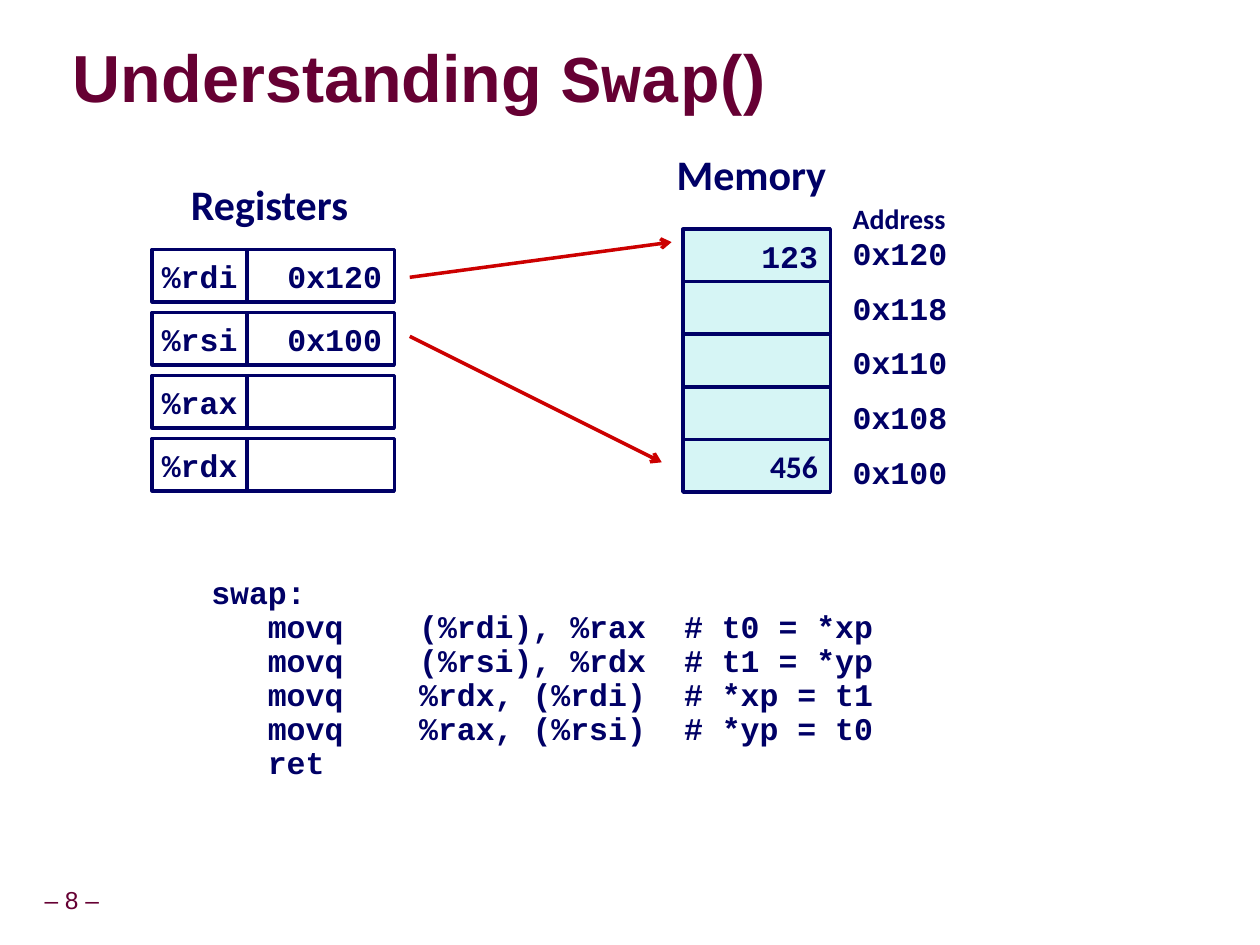
from dataclasses import dataclass

from lxml.etree import SubElement
from pptx import Presentation
from pptx.dml.color import RGBColor as RGB
from pptx.enum.shapes import MSO_CONNECTOR as Link, MSO_SHAPE as Shape
from pptx.enum.text import MSO_ANCHOR as Anchor, MSO_AUTO_SIZE as Fit, PP_ALIGN as Align
from pptx.oxml import parse_xml
from pptx.oxml.ns import nsdecls, qn
from pptx.util import Cm, Pt


@dataclass(frozen=True)
class Theme:
    ink: RGB = RGB(0x00, 0x00, 0x66)
    wine: RGB = RGB(0x66, 0x00, 0x33)
    red: RGB = RGB(0xCC, 0x00, 0x00)
    aqua: RGB = RGB(0xD6, 0xF5, 0xF5)
    white: RGB = RGB(0xFF, 0xFF, 0xFF)
    sans: str = "Arial"
    body: str = "Calibri"
    mono: str = "Courier New"
    title: int = 38
    head: int = 24
    code: int = 18
    label: int = 16
    foot: int = 14
    line: int = 2


T = Theme()
ROW = 1.06
SHADOW = (
    f'<a:effectLst {nsdecls("a")}><a:outerShdw blurRad="38100" dist="38100" '
    'dir="2700000" algn="tl"><a:srgbClr val="000000"><a:alpha val="43000"/>'
    '</a:srgbClr></a:outerShdw></a:effectLst>'
)


def style(run, size, face, color=T.ink, bold=True):
    font = run.font
    font.size, font.name, font.bold = Pt(size), face, bold
    font.color.rgb = color


def write(frame, text, size, face, align=Align.LEFT):
    frame.text = text
    for para in frame.paragraphs:
        para.alignment = align
        for run in para.runs:
            style(run, size, face)


def label(slide, x, y, w, h, text, size, face, wrap=True):
    frame = slide.shapes.add_textbox(Cm(x), Cm(y), Cm(w), Cm(h)).text_frame
    frame.word_wrap, frame.auto_size = wrap, Fit.SHAPE_TO_FIT_TEXT
    write(frame, text, size, face)
    return frame


def cell(slide, x, y, w, text, fill=T.white, align=Align.RIGHT, face=T.mono):
    box = slide.shapes.add_shape(Shape.RECTANGLE, Cm(x), Cm(y), Cm(w), Cm(ROW))
    box.shadow.inherit = False
    box.fill.solid()
    box.fill.fore_color.rgb = fill
    box.line.color.rgb, box.line.width = T.ink, Pt(T.line)
    frame = box.text_frame
    frame.word_wrap, frame.vertical_anchor = False, Anchor.MIDDLE
    if text:
        write(frame, text, T.code, face, align)


def arrow(slide, x1, y1, x2, y2):
    link = slide.shapes.add_connector(Link.STRAIGHT, Cm(x1), Cm(y1), Cm(x2), Cm(y2))
    link.line.color.rgb, link.line.width = T.red, Pt(T.line)
    SubElement(link.line._get_or_add_ln(), qn("a:tailEnd"), type="arrow")
    SubElement(link._element.spPr, qn("a:effectLst"))


def heading(slide, x, y, w, h):
    title = slide.shapes.title
    title.left, title.top, title.width, title.height = Cm(x), Cm(y), Cm(w), Cm(h)
    frame = title.text_frame
    frame.margin_left = frame.margin_right = frame.margin_top = frame.margin_bottom = 0
    frame.vertical_anchor, frame.auto_size = Anchor.MIDDLE, Fit.NONE
    para = frame.paragraphs[0]
    para.alignment, para.line_spacing = Align.LEFT, 0.87
    for text, face in (("Understanding ", T.sans), ("Swap", T.mono), ("()", T.sans)):
        run = para.add_run()
        run.text = text
        style(run, T.title, face, T.wine)
        run.font._element.find(qn("a:solidFill")).addnext(parse_xml(SHADOW))


def registers(slide, x, y):
    name_w, value_w, pitch = 1.91, 2.97, 1.27
    label(slide, x + 0.53, y - 1.55, 3.76, 1.27, "Registers", T.head, T.body, False)
    rows = (("%rdi", "0x120"), ("%rsi", "0x100"), ("%rax", ""), ("%rdx", ""))
    for i, (name, value) in enumerate(rows):
        top = y + i * pitch
        cell(slide, x, top, name_w, name, align=Align.CENTER)
        cell(slide, x + name_w, top, value_w, value)


def memory(slide, x, y):
    width, side, pitch = 2.97, 3.17, 1.1
    label(slide, x - 0.38, y - 1.75, 3.56, 1.27, "Memory", T.head, T.body, False)
    label(slide, x + side, y - 0.68, 3.38, 0.94, "Address", T.label, T.body)
    rows = (("123", "0x120"), ("", "0x118"), ("", "0x110"), ("", "0x108"), ("456", "0x100"))
    for i, (value, place) in enumerate(rows):
        face = T.body if value == "456" else T.mono
        cell(slide, x, y + i * ROW, width, value, T.aqua, face=face)
        label(slide, x + side, y - 0.02 + i * pitch, 3.38, 1.02, place, T.code, T.mono)


def code(slide, x, y, w, h):
    lines = (
        "swap:",
        "\tmovq\t(%rdi), %rax\t# t0 = *xp",
        "\tmovq\t(%rsi), %rdx\t# t1 = *yp",
        "\tmovq\t%rdx, (%rdi)\t# *xp = t1",
        "\tmovq\t%rax, (%rsi)\t# *yp = t0",
        "\tret",
    )
    frame = label(slide, x, y, w, h, "\n".join(lines), T.code, T.mono)
    for i, para in enumerate(frame.paragraphs):
        if i:
            para.line_spacing = 0.9
        stops = SubElement(para._p.get_or_add_pPr(), qn("a:tabLst"))
        for stop in (1.14, 4.19, 9.53):
            SubElement(stops, qn("a:tab"), pos=str(Cm(stop)), algn="l")


def footer(slide, x, y, w, h):
    frame = label(slide, x, y, w, h, "– 8 –", T.foot, T.sans, False)
    frame.margin_left = frame.margin_right = Cm(0.13)
    frame.vertical_anchor = Anchor.MIDDLE
    para = frame.paragraphs[0]
    para.alignment, para.line_spacing = Align.CENTER, 0.9
    style(para.runs[0], T.foot, T.sans, T.wine, False)


def main():
    deck = Presentation()
    deck.slide_width, deck.slide_height = Cm(25.4), Cm(19.05)
    slide = deck.slides.add_slide(deck.slide_layouts[5])
    footer(slide, 0.61, 17.78, 1.68, 0.79)
    heading(slide, 1.47, 0.84, 17.7, 1.6)
    memory(slide, 13.77, 4.62)
    registers(slide, 3.07, 5.03)
    code(slide, 4.01, 11.43, 16.31, 4.5)
    arrow(slide, 8.26, 5.59, 13.54, 4.88)
    arrow(slide, 8.26, 6.78, 13.34, 9.32)
    deck.save("out.pptx")


if __name__ == "__main__":
    main()
